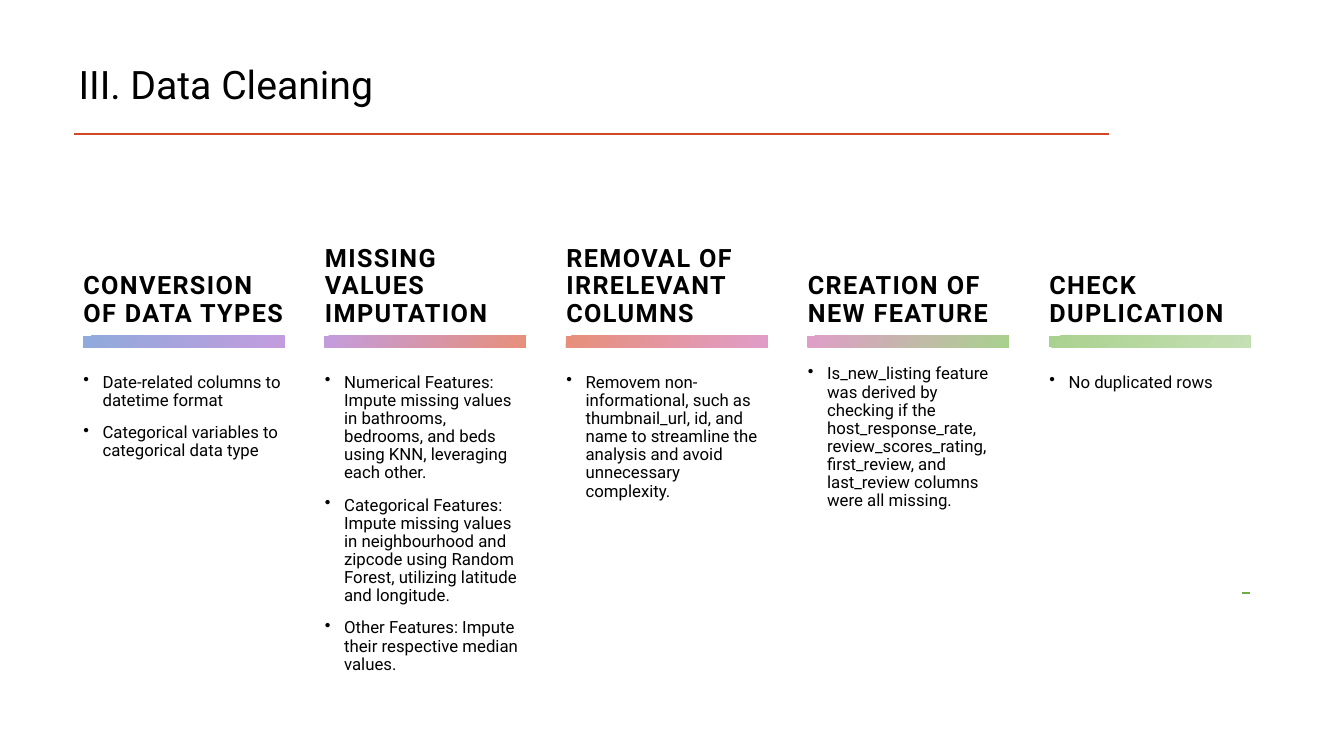
from dataclasses import dataclass
from itertools import pairwise

from lxml import etree
from pptx import Presentation
from pptx import util as u
from pptx.dml.color import RGBColor
from pptx.enum import shapes, text
from pptx.oxml.ns import qn

UNIT = u.Inches(1 / 12)  # the slide is a grid of 160 columns by 90 rows
PITCH = 28.75            # from one step to the next


@dataclass(frozen=True)
class Theme:
    face: str = "Roboto"
    ink: str = "000000"
    rule: str = "D24726"
    dash: str = "70AD47"
    ramp: tuple = ("8FAADC", "C39CDE", "E78F7A", "E09DC8", "A9D18E", "C5E0B4")
    title: int = 28
    head: int = 18
    body: int = 12
    track: int = 100


THEME = Theme()

# heading, top row of the bullets, bullets
STEPS = [
    ("CONVERSION OF DATA TYPES", 44.5, [
        "Date-related columns to datetime format",
        "Categorical variables to categorical data type"]),
    ("MISSING VALUES IMPUTATION", 44.5, [
        "Numerical Features: Impute missing values in bathrooms, bedrooms, "
        "and beds using KNN, leveraging each other.",
        "Categorical Features: Impute missing values in neighbourhood and "
        "zipcode using Random Forest, utilizing latitude and longitude.",
        "Other Features: Impute their respective median values."]),
    ("REMOVAL OF IRRELEVANT COLUMNS", 44.5, [
        "Removem non-informational, such as thumbnail_url, id, and name to "
        "streamline the analysis and avoid unnecessary complexity."]),
    ("CREATION OF NEW FEATURE", 43.5, [
        "Is_new_listing feature was derived by checking if the "
        "host_response_rate, review_scores_rating, first_review, and "
        "last_review columns were all missing."]),
    ("CHECK DUPLICATION", 44.5, ["No duplicated rows"]),
]


def grid(*cells):
    return [int(c * UNIT) for c in cells]


def style(par, size, bold=False):
    par.line_spacing = 0.9
    par.alignment = text.PP_ALIGN.LEFT
    font = par.font
    font.name, font.size, font.bold = THEME.face, u.Pt(size), bold
    font.color.rgb = RGBColor.from_string(THEME.ink)


def add_rule(slide, left, right, row, color):
    ends = grid(left, row, right, row)
    line = slide.shapes.add_connector(shapes.MSO_CONNECTOR.STRAIGHT, *ends)
    line.line.color.rgb = RGBColor.from_string(color)
    line.line.width = u.Pt(1.5)
    etree.SubElement(line._element.spPr, qn("a:effectLst"))


def add_text(slide, box, lines, size, anchor, bold=False):
    frame = slide.shapes.add_textbox(*grid(*box)).text_frame
    frame.word_wrap = True
    frame.vertical_anchor = anchor
    frame.margin_top = 0
    frame.text = "\n".join(lines)
    for par in frame.paragraphs:
        style(par, size, bold)
        par.space_before = u.Pt(10)
    return frame.paragraphs


def add_bullet(par):
    props = par._p.pPr
    indent = u.Inches(0.19)
    props.set("marL", str(indent))
    props.set("indent", str(-indent))
    mark = etree.Element(qn("a:buChar"), char="•")
    props.find(qn("a:defRPr")).addprevious(mark)


def add_bar(slide, box, colors):
    bar = slide.shapes.add_shape(shapes.MSO_SHAPE.RECTANGLE, *grid(*box))
    bar.shadow.inherit = False
    bar.line.fill.background()
    bar.fill.gradient()
    bar.fill.gradient_angle = 324
    for stop, color in zip(bar.fill.gradient_stops, colors):
        stop.color.rgb = RGBColor.from_string(color)


def add_step(slide, left, step, colors):
    head, top, points = step
    add_bar(slide, (left + 1.1, 40, 24, 1.35), colors)
    pars = add_text(slide, (left, 29, 27.1, 10.6), [head], THEME.head,
                    text.MSO_ANCHOR.BOTTOM, bold=True)
    pars[0]._p.pPr.find(qn("a:defRPr")).set("spc", str(THEME.track))
    for par in add_text(slide, (left, top, 26.15, 38), points, THEME.body,
                        text.MSO_ANCHOR.TOP):
        add_bullet(par)


def add_title(slide, box, words):
    title = slide.shapes.title
    title.left, title.top, title.width, title.height = grid(*box)
    title.text_frame.text = words
    title.text_frame.vertical_anchor = text.MSO_ANCHOR.BOTTOM
    style(title.text_frame.paragraphs[0], THEME.title)


def main():
    deck = Presentation()
    deck.slide_width, deck.slide_height = grid(160, 90)
    slide = deck.slides.add_slide(deck.slide_layouts[5])
    add_title(slide, (8.15, 2.75, 118.9, 10.7), "III. Data Cleaning")
    add_rule(slide, 8.85, 132, 16, THEME.rule)
    for i, (step, colors) in enumerate(zip(STEPS, pairwise(THEME.ramp))):
        add_step(slide, 8.75 + i * PITCH, step, colors)
    add_rule(slide, 147.85, 148.85, 70.55, THEME.dash)
    deck.save("out.pptx")


if __name__ == "__main__":
    main()
